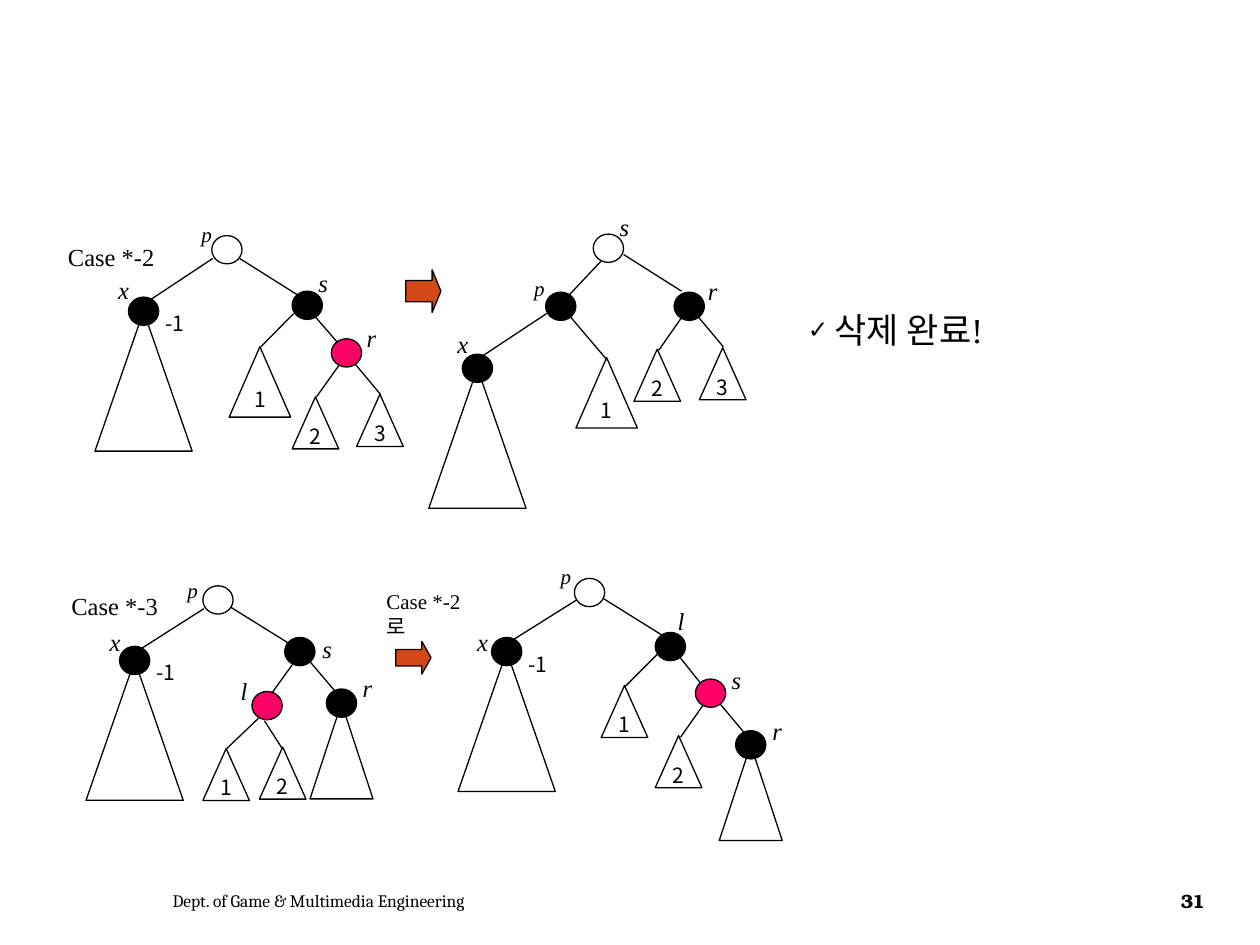
from dataclasses import dataclass

from lxml import etree
from pptx import Presentation
from pptx.dml.color import RGBColor
from pptx.enum import shapes, text
from pptx.oxml import ns
from pptx.util import Cm, Pt

COLORS = {"black": "000000", "white": "FFFFFF", "red": "FF0066", "arrow": "D34817"}
SERIF, KOREAN = "Times New Roman", "Noto Sans CJK KR"
NODE_W, NODE_H = 0.61, 0.57
SMALL = (0.94, 1.05)
WIDE = (1.24, 1.42)
TALL = (1.96, 2.82)
MIDDLE = (1.27, 1.93)


@dataclass
class Node:
    name: str
    left: float
    top: float
    label: tuple[float, float]
    color: str = "black"
    hanging: tuple[float, float] | None = None
    deficit: bool = False


@dataclass
class Subtree:
    name: str
    left: float
    top: float
    size: tuple[float, float] = SMALL


@dataclass
class Tree:
    edges: list[tuple[float, float, float, float]]
    subtrees: list[Subtree]
    nodes: list[Node]


@dataclass
class Case:
    title: str
    title_at: tuple[float, float]
    arrow: tuple[float, float, float, float]
    arrow_head: float
    before: Tree
    after: Tree
    note: str = ""
    note_at: tuple[float, float] = (0, 0)


CASES = [
    Case(
        "Case *-3", (1.19, 11.79), (7.98, 12.93, 0.71, 0.66), 0.28,
        Tree(
            [(4.11, 12.27, 2.84, 13.08), (4.65, 12.24, 5.84, 12.98),
             (5.92, 13.36, 5.46, 14.0), (6.25, 13.34, 6.76, 13.94),
             (5.21, 14.48, 4.55, 15.11), (5.33, 14.53, 5.69, 15.09)],
            [Subtree("1", 4.09, 15.09), Subtree("2", 5.23, 15.06)],
            [Node("p", 4.09, 11.81, (3.53, 11.51), "white"),
             Node("s", 5.74, 12.85, (6.25, 12.65)),
             Node("r", 6.58, 13.89, (7.06, 13.44), hanging=MIDDLE),
             Node("l", 5.08, 13.94, (4.6, 13.51), "red"),
             Node("x", 2.41, 13.03, (1.96, 12.52), hanging=TALL, deficit=True)]),
        Tree(
            [(11.63, 12.09, 10.34, 12.9), (12.17, 12.07, 13.34, 12.8),
             (14.17, 14.22, 13.72, 14.86), (14.5, 14.17, 15.01, 14.78),
             (13.26, 13.18, 12.6, 13.84), (13.69, 13.23, 14.12, 13.77)],
            [Subtree("1", 12.12, 13.82), Subtree("2", 13.21, 14.83)],
            [Node("p", 11.58, 11.66, (11.05, 11.23), "white"),
             Node("s", 14.02, 13.69, (14.5, 13.28), "red"),
             Node("r", 14.83, 14.73, (15.32, 14.3), hanging=MIDDLE),
             Node("l", 13.21, 12.75, (13.41, 12.09)),
             Node("x", 9.91, 12.85, (9.37, 12.52), hanging=TALL, deficit=True)]),
        "Case *-2로", (7.54, 11.73)),
    Case(
        "Case *-2", (1.12, 4.75), (8.18, 5.44, 0.71, 0.86), 0.25,
        Tree(
            [(4.29, 5.21, 3.02, 6.05), (4.83, 5.21, 5.99, 5.94),
             (6.83, 7.37, 6.38, 8.0), (7.16, 7.34, 7.67, 7.95),
             (5.92, 6.32, 5.26, 6.99), (6.35, 6.38, 6.81, 6.91)],
            [Subtree("1", 4.62, 6.99, WIDE), Subtree("2", 5.89, 8.0),
             Subtree("3", 7.19, 7.95)],
            [Node("p", 4.27, 4.75, (3.81, 4.34), "white"),
             Node("r", 6.68, 6.83, (7.14, 6.38), "red"),
             Node("s", 5.89, 5.87, (6.17, 5.28)),
             Node("x", 2.59, 5.99, (2.13, 5.41), hanging=TALL, deficit=True)]),
        Tree(
            [(11.02, 6.32, 9.75, 7.16), (12.57, 5.13, 13.74, 5.87),
             (13.74, 6.4, 13.28, 7.06), (14.07, 6.38, 14.58, 6.99),
             (12.12, 5.26, 11.48, 5.94), (11.51, 6.4, 12.24, 7.26)],
            [Subtree("1", 11.61, 7.21, WIDE), Subtree("2", 12.78, 7.04),
             Subtree("3", 14.1, 7.01)],
            [Node("p", 11.0, 5.89, (10.52, 5.44)),
             Node("r", 13.59, 5.89, (14.02, 5.44)),
             Node("s", 11.96, 4.72, (12.24, 4.14), "white"),
             Node("x", 9.32, 7.14, (8.97, 6.5), hanging=TALL)])),
]


def write(tf, content: str, size=14, font=SERIF, italic=False, bold=False,
          align=None, anchor=None, wrap=False, spacing=0):
    """Put one formatted run in a text frame and return its paragraph."""
    tf.word_wrap = wrap
    if anchor is not None:
        tf.vertical_anchor = anchor
    p = tf.paragraphs[0]
    p.alignment = align
    r = p.add_run()
    r.text = content
    r.font.size, r.font.name = Pt(size), font
    r.font.italic, r.font.bold = italic, bold
    r.font.color.rgb = RGBColor.from_string(COLORS["black"])
    props = r._r.get_or_add_rPr()
    etree.SubElement(props, ns.qn("a:ea"), typeface=KOREAN)
    if spacing:
        props.set("spc", str(spacing))
    return p


def add_text(parent, content: str, left, top, width, height, **fmt) -> None:
    box = parent.add_textbox(Cm(left), Cm(top), Cm(width), Cm(height))
    write(box.text_frame, content, **fmt)


def add_outlined(parent, kind, left, top, width, height, color=None):
    sp = parent.add_shape(kind, Cm(left), Cm(top), Cm(width), Cm(height))
    sp.shadow.inherit = False
    if color:
        sp.fill.solid()
        sp.fill.fore_color.rgb = RGBColor.from_string(COLORS[color])
    else:
        sp.fill.background()
    sp.line.color.rgb = RGBColor.from_string(COLORS["black"])
    sp.line.width = Pt(0.75)
    return sp


def add_edge(parent, x1, y1, x2, y2) -> None:
    line = parent.add_connector(shapes.MSO_CONNECTOR.STRAIGHT, Cm(x1), Cm(y1), Cm(x2), Cm(y2))
    line.line.color.rgb = RGBColor.from_string(COLORS["black"])
    line.line.width = Pt(0.75)
    etree.SubElement(line._element.spPr, ns.qn("a:effectLst"))


def add_node(parent, node: Node) -> None:
    if node.hanging:
        width, height = node.hanging
        add_outlined(parent, shapes.MSO_SHAPE.ISOSCELES_TRIANGLE,
                     node.left + (NODE_W - width) / 2, node.top + NODE_H / 2, width, height)
    add_outlined(parent, shapes.MSO_SHAPE.OVAL, node.left, node.top, NODE_W, NODE_H, node.color)
    size = 12 if node.name == "p" else 14
    add_text(parent, node.name, *node.label, 0.71, size * 0.06, size=size, italic=True)
    if node.deficit:
        add_text(parent, "-1", node.left + 0.49, node.top + 0.15, 1.02, 0.76,
                 size=12, font=KOREAN)


def add_tree(parent, tree: Tree) -> None:
    for edge in tree.edges:
        add_edge(parent, *edge)
    for sub in tree.subtrees:
        sp = add_outlined(parent, shapes.MSO_SHAPE.ISOSCELES_TRIANGLE,
                          sub.left, sub.top, *sub.size)
        write(sp.text_frame, sub.name, size=12, font=KOREAN,
              align=text.PP_ALIGN.CENTER, anchor=text.MSO_ANCHOR.MIDDLE)
    for node in tree.nodes:
        add_node(parent, node)


def add_case(slide, case: Case) -> None:
    parent = slide.shapes.add_group_shape().shapes
    add_tree(parent, case.before)
    add_tree(parent, case.after)
    add_text(parent, case.title, *case.title_at, 2.26, 0.84)
    arrow = add_outlined(parent, shapes.MSO_SHAPE.RIGHT_ARROW, *case.arrow, "arrow")
    arrow.adjustments[1] = case.arrow_head
    if case.note:
        add_text(parent, case.note, *case.note_at, 2.3, 0.76, size=12, wrap=True)


def fill_body(body) -> None:
    body.left, body.top, body.width, body.height = Cm(16.03), Cm(6.1), Cm(4.27), Cm(1.09)
    p = write(body.text_frame, "삭제 완료!", size=20)
    p.space_before = Pt(0)
    props = p._p.get_or_add_pPr()
    props.set("marL", str(Cm(0.54)))
    props.set("indent", str(-Cm(0.54)))
    etree.SubElement(props, ns.qn("a:buSzPct"), val="70000")
    etree.SubElement(props, ns.qn("a:buFont"), typeface="Arial")
    etree.SubElement(props, ns.qn("a:buChar"), char="✓")


def main() -> None:
    prs = Presentation()
    prs.slide_width, prs.slide_height = Cm(25.4), Cm(19.05)
    slide = prs.slides.add_slide(prs.slide_layouts[1])
    title = slide.shapes.title._element
    title.getparent().remove(title)
    for case in CASES:
        add_case(slide, case)
    fill_body(slide.placeholders[1])
    add_text(slide.shapes, "Dept. of Game & Multimedia Engineering", 3.23, 17.65, 11.66, 1.02,
             size=10, font="Cambria", anchor=text.MSO_ANCHOR.MIDDLE, wrap=True)
    add_text(slide.shapes, "31", 23.37, 17.65, 1.35, 1.02, size=11, font="TeX Gyre Bonum",
             bold=True, align=text.PP_ALIGN.CENTER, anchor=text.MSO_ANCHOR.MIDDLE,
             wrap=True, spacing=-70)
    prs.save("out.pptx")


if __name__ == "__main__":
    main()
